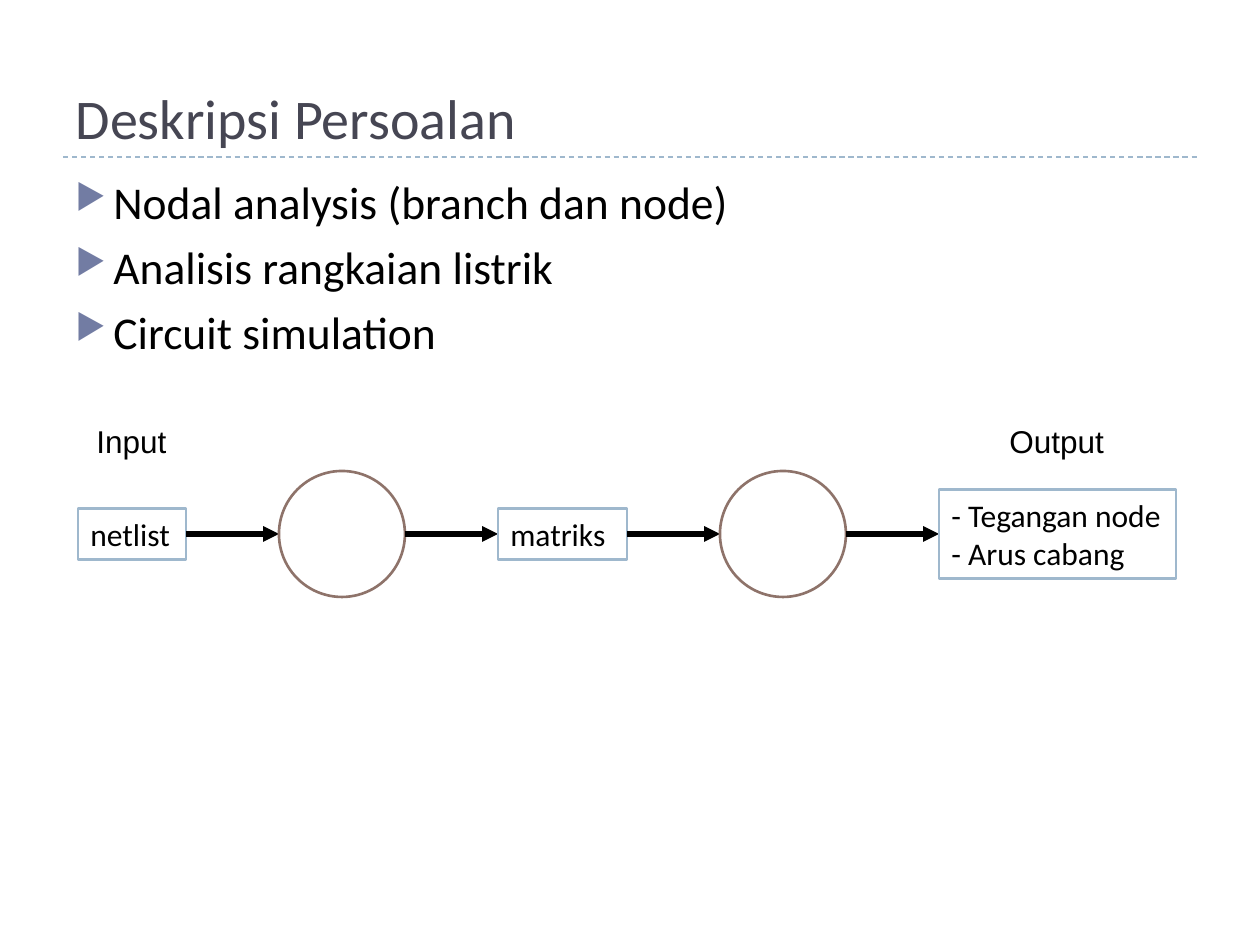
from pptx import Presentation, util as u
from pptx.dml.color import RGBColor
from pptx.enum import dml, shapes, text
from pptx.oxml.ns import qn
from lxml import etree

PX = 914400 / 126  # EMU per px
WHITE = RGBColor(0xFF, 0xFF, 0xFF)
BLACK = RGBColor(0, 0, 0)
TITLE = RGBColor(0x46, 0x46, 0x53)
BLUE = RGBColor(0x9F, 0xB8, 0xCD)
BROWN = RGBColor(0x8E, 0x73, 0x6A)
BULLET = "727CA3"

AXIS = 534  # vertical centre of the flow
GAP = 93    # length of each arrow
CIRCLE = 126
# Steps of the flow: width, height, lines of text (None for a circle)
STEPS = [
    (108, 51, ["netlist"]),
    (CIRCLE, CIRCLE, None),
    (129, 51, ["matriks"]),
    (CIRCLE, CIRCLE, None),
    (237, 89, ["- Tegangan node", "- Arus cabang"]),
]
TOPICS = ["Nodal analysis (branch dan node)", "Analisis rangkaian listrik",
          "Circuit simulation"]


def px(*lengths):
    return [u.Emu(round(n * PX)) for n in lengths]


def write(frame, lines, size, font="Calibri", color=BLACK):
    frame.text = "\n".join(lines)
    for paragraph in frame.paragraphs:
        paragraph.alignment = text.PP_ALIGN.LEFT
        paragraph.font.size = u.Pt(size)
        paragraph.font.name = font
        paragraph.font.color.rgb = color


def add_title(slide, words):
    title = slide.shapes.title
    title.left, title.top, title.width, title.height = px(63, 21, 1134, 136)
    write(title.text_frame, [words], 32, color=TITLE)
    title.text_frame.vertical_anchor = text.MSO_ANCHOR.BOTTOM


def add_bullets(slide, lines):
    frame = slide.shapes.add_textbox(*px(63, 168, 1134, 680)).text_frame
    frame.word_wrap = True
    write(frame, lines, 26)
    indent = px(38)[0]
    for paragraph in frame.paragraphs:
        paragraph.space_before = u.Pt(6)
        props = paragraph._p.get_or_add_pPr()
        props.set("marL", str(indent))
        props.set("indent", str(-indent))
        # Bullet parts go ahead of the default run properties
        color = etree.Element(qn("a:buClr"))
        etree.SubElement(color, qn("a:srgbClr"), val=BULLET)
        size = etree.Element(qn("a:buSzPct"), val="76000")
        mark = etree.Element(qn("a:buChar"), char="▶")
        defaults = props.find(qn("a:defRPr"))
        for part in (color, size, mark):
            defaults.addprevious(part)


def add_line(slide, x1, x2, y, color, width):
    line = slide.shapes.add_connector(shapes.MSO_CONNECTOR.STRAIGHT,
                                      *px(x1, y, x2, y))
    line.line.color.rgb = color
    line.line.width = u.Pt(width)
    etree.SubElement(line._element.spPr, qn("a:effectLst"))
    return line


def add_arrow(slide, x1, x2):
    arrow = add_line(slide, x1, x2, AXIS, BLACK, 3)
    etree.SubElement(arrow.line._get_or_add_ln(), qn("a:tailEnd"),
                     type="triangle")


def add_step(slide, left, width, height, lines):
    kind = shapes.MSO_SHAPE.RECTANGLE if lines else shapes.MSO_SHAPE.OVAL
    step = slide.shapes.add_shape(
        kind, *px(left, AXIS - height / 2, width, height))
    step.shadow.inherit = False
    step.fill.solid()
    step.fill.fore_color.rgb = WHITE
    step.line.color.rgb = BLUE if lines else BROWN
    step.line.width = u.Pt(1.5)
    if lines:
        step.text_frame.word_wrap = False
        write(step.text_frame, lines, 18)


def add_label(slide, left, width, words):
    frame = slide.shapes.add_textbox(*px(left, 416, width, 51)).text_frame
    frame.word_wrap = False
    write(frame, [words], 18, font="Arial")


def main():
    prs = Presentation()
    prs.slide_width, prs.slide_height = px(1260, 945)
    slide = prs.slides.add_slide(prs.slide_layouts[5])

    # Heading and topics
    rule = add_line(slide, 63, 1197, 157, BLUE, 0.75)
    rule.line.dash_style = dml.MSO_LINE.DASH
    add_title(slide, "Deskripsi Persoalan")
    add_bullets(slide, TOPICS)

    # Flow from input to output
    left = 78
    for i, (width, height, lines) in enumerate(STEPS):
        if i:
            add_arrow(slide, left - GAP, left)
        add_step(slide, left, width, height, lines)
        left += width + GAP
    add_label(slide, 84, 96, "Input")
    add_label(slide, 997, 121, "Output")

    prs.save("out.pptx")


if __name__ == "__main__":
    main()
